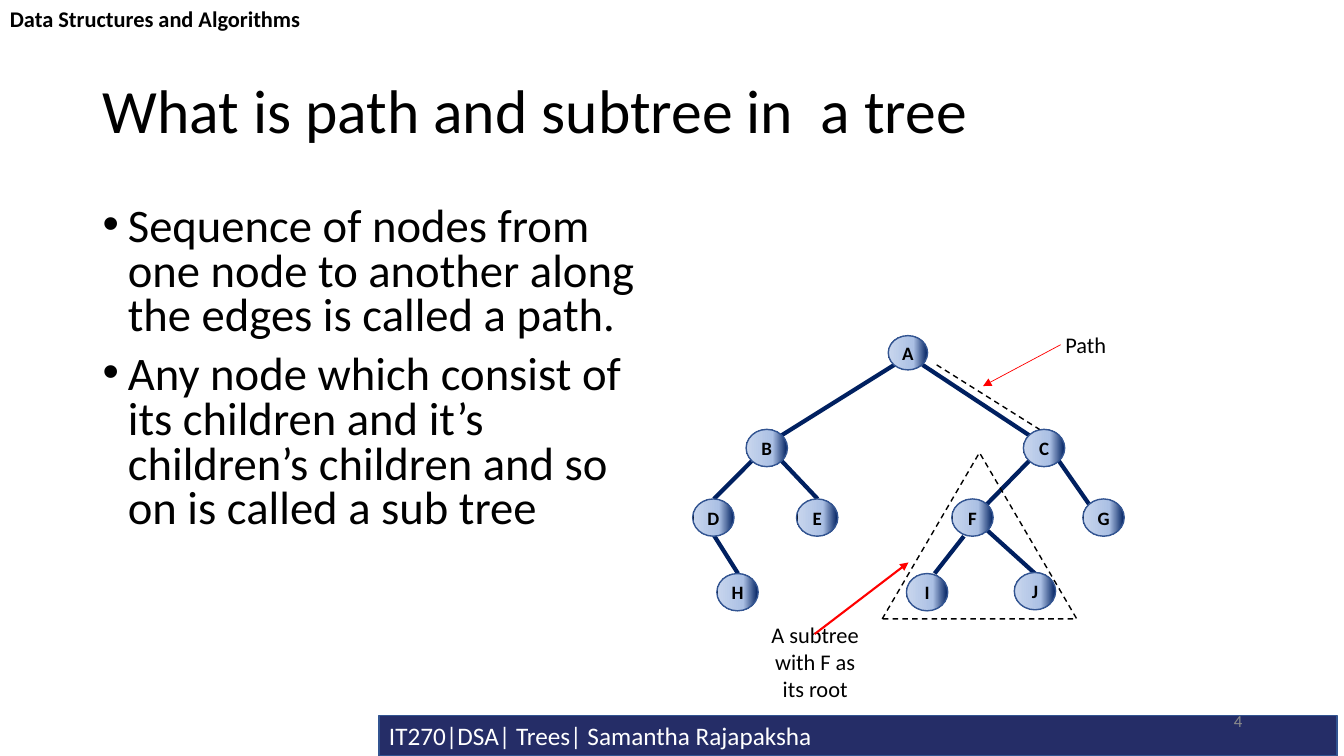
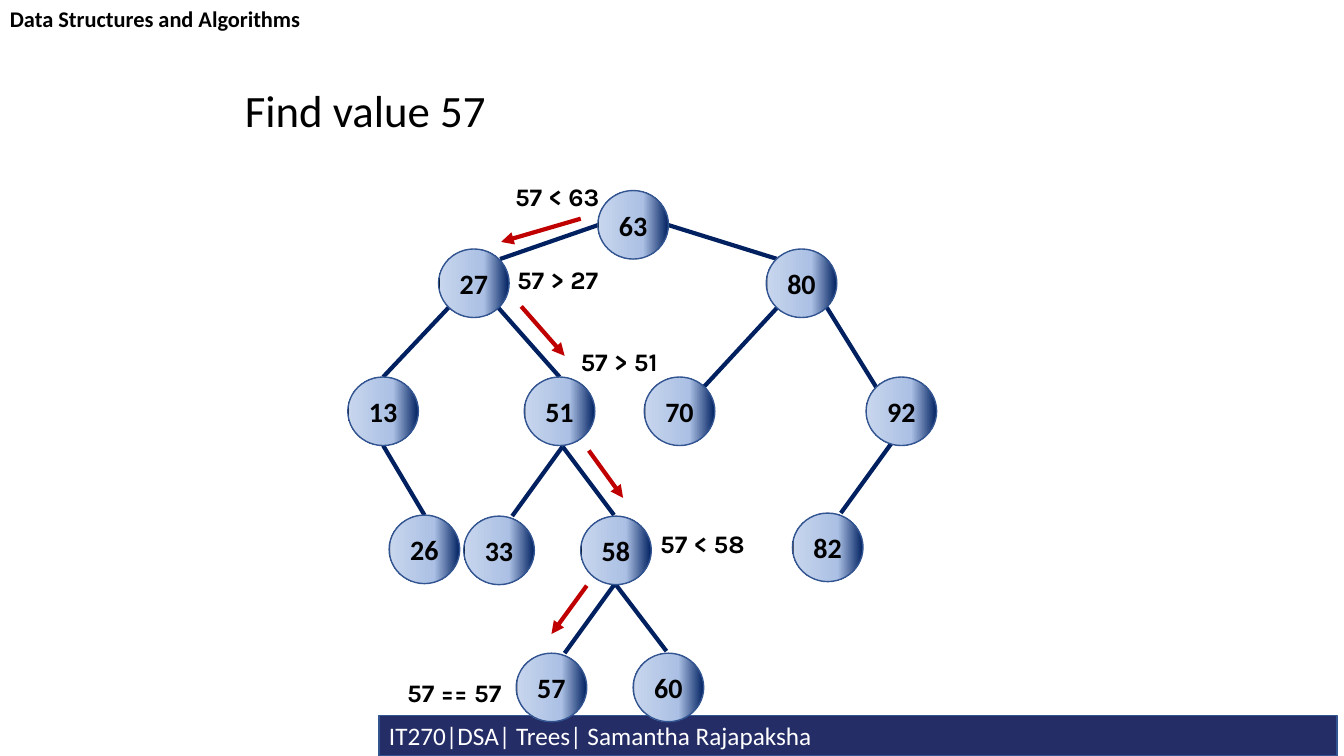
from lxml.etree import SubElement
from pptx import Presentation
from pptx.dml.color import RGBColor
from pptx.enum.dml import MSO_LINE
from pptx.enum.shapes import MSO_CONNECTOR, MSO_SHAPE
from pptx.enum.text import MSO_ANCHOR as ANCHOR, PP_ALIGN as ALIGN
from pptx.oxml.ns import qn
from pptx.util import Pt

PX = 9144  # EMU in one px, 100 px to the inch
COLORS = {
    "text": "000000", "number": "8C8C8C", "white": "FFFFFF",
    "band": "252D67", "outline": "325491", "edge": "002060",
    "pointer": "FF0000", "search": "C00000",
}
NODE_STOPS = [(0, "002060"), (36, "ABC0E4"), (98, "C7D5ED"), (99, "000000")]

PATH_NODES = [
    ("B", 740, 426), ("C", 1015, 426), ("D", 687, 495), ("E", 790, 495),
    ("F", 944, 495), ("G", 1074, 495), ("H", 711, 569), ("I", 899, 569),
    ("J", 1006, 568),
]
PATH_EDGES = [
    (775, 432, 887, 362), (915, 362, 1021, 432), (708, 495, 746, 457),
    (811, 495, 775, 457), (979, 500, 1021, 457), (1080, 500, 1050, 457),
    (732, 569, 708, 531), (927, 569, 956, 532), (1031, 573, 979, 526),
]
SEARCH_NODES = [
    ("63", 593, 189), ("27", 435, 247), ("80", 760, 247), ("13", 345, 374),
    ("51", 520, 374), ("70", 639, 374), ("92", 859, 374), ("26", 386, 511),
    ("33", 460, 512), ("58", 576, 512), ("82", 786, 509), ("57", 512, 648),
    ("60", 628, 648),
]
SEARCH_EDGES = [
    (496, 257, 594, 223), (662, 223, 771, 257), (380, 374, 445, 305),
    (555, 374, 494, 305), (698, 384, 771, 305), (869, 384, 820, 305),
    (421, 511, 380, 442), (508, 512, 558, 443), (609, 511, 558, 443),
    (834, 509, 884, 440), (560, 648, 610, 579), (661, 646, 610, 579),
]
SEARCH_ARROWS = [
    (576, 217, 497, 240), (517, 304, 560, 353),
    (584, 447, 618, 494), (582, 581, 547, 629),
]
COMPARISONS = [
    ("57 < 63", 501, 175), ("57 > 27", 503, 257), ("57 > 51", 566, 339),
    ("57 < 58", 645, 519), ("57 == 57", 394, 667),
]


def emu(*lengths):
    return [length * PX for length in lengths]


def rgb(name):
    return RGBColor.from_string(COLORS[name])


def write(shape, paragraphs, size, color="text", bold=False, font="Calibri",
          align=ALIGN.LEFT, anchor=ANCHOR.TOP):
    frame = shape.text_frame
    frame.word_wrap = True
    frame.vertical_anchor = anchor
    frame.text = "\n".join(paragraphs)
    for para in frame.paragraphs:
        para.alignment = align
        para.font.name = font
        para.font.size = Pt(size)
        para.font.bold = bold
        para.font.color.rgb = rgb(color)
    return frame


def label(page, text, at, size, **style):
    box = page.shapes.add_textbox(*emu(*at))
    write(box, [text], size, **style)
    return box


def title(page, text, at, size):
    box = label(page, text, at, size, anchor=ANCHOR.MIDDLE)
    box.text_frame.paragraphs[0].line_spacing = 0.9


def bullets(page, items, at, size):
    box = page.shapes.add_textbox(*emu(*at))
    for para in write(box, items, size).paragraphs:
        para.line_spacing = 0.8
        para.space_before = Pt(10)
        props = para._p.get_or_add_pPr()
        props.set("marL", str(25 * PX))
        props.set("indent", str(-25 * PX))
        bullet_font = SubElement(props, qn("a:buFont"))
        bullet_font.set("typeface", "Arial")
        SubElement(props, qn("a:buChar")).set("char", "•")


def outlined(page, kind, at, color="outline"):
    shape = page.shapes.add_shape(kind, *emu(*at))
    shape.shadow.inherit = False
    shape.line.color.rgb = rgb(color)
    shape.line.width = Pt(1)
    return shape


def node(page, text, left, top, width, height, size):
    circle = outlined(page, MSO_SHAPE.FLOWCHART_CONNECTOR,
                      (left, top, width, height))
    circle.fill.gradient()
    circle.fill.gradient_angle = 180
    stops = circle.element.spPr.find(qn("a:gradFill")).find(qn("a:gsLst"))
    for stop in list(stops):
        stops.remove(stop)
    for percent, color in NODE_STOPS:
        stop = SubElement(stops, qn("a:gs"), pos=str(percent * 1000))
        SubElement(stop, qn("a:srgbClr"), val=color)
    frame = write(circle, [text], size, bold=True, align=ALIGN.CENTER,
                  anchor=ANCHOR.MIDDLE)
    frame.margin_left = frame.margin_right = 0
    frame.margin_top = frame.margin_bottom = 0


def line(page, ends, color="edge", width=3, arrow=False, dashed=False):
    connector = page.shapes.add_connector(MSO_CONNECTOR.STRAIGHT, *emu(*ends))
    connector.line.color.rgb = rgb(color)
    connector.line.width = Pt(width)
    if dashed:
        connector.line.dash_style = MSO_LINE.DASH
    props = connector.element.spPr
    if arrow:
        SubElement(props.find(qn("a:ln")), qn("a:tailEnd"), type="triangle")
    SubElement(props, qn("a:effectLst"))


def tree(page, nodes, edges, width, height, size):
    for ends in edges:
        line(page, ends)
    for text, left, top in nodes:
        node(page, text, left, top, width, height, size)


def furnish_layout(layout, page):
    """Draw the course header and footer band, then move them to the layout."""
    for placeholder in list(layout.placeholders):
        layout.shapes.element.remove(placeholder.element)
    band = outlined(page, MSO_SHAPE.RECTANGLE, (376, 710, 950, 40))
    band.fill.solid()
    band.fill.fore_color.rgb = rgb("band")
    write(band, ["IT270|DSA| Trees| Samantha Rajapaksha"], 18, color="white",
          anchor=ANCHOR.MIDDLE)
    header = label(page, "Data Structures and Algorithms", (0, 0, 1333, 37),
                   16, bold=True)
    for shape in (band, header):
        layout.shapes.element.append(shape.element)


def path_slide(page):
    title(page, "What is path and subtree in  a tree", (92, 40, 1150, 145), 44)
    bullets(page, [
        "Sequence of nodes from one node to another along the edges is called "
        "a path.",
        "Any node which consist of its children and it’s children’s children "
        "and so on is called a sub tree",
    ], (92, 200, 550, 358), 33.3)
    label(page, "4", (942, 695, 300, 40), 12, color="number",
          align=ALIGN.RIGHT, anchor=ANCHOR.MIDDLE)
    tree(page, PATH_NODES, PATH_EDGES, 41, 37, 13.5)
    node(page, "A", 881, 333, 39, 34, 13.5)

    centred = {"align": ALIGN.CENTER, "anchor": ANCHOR.MIDDLE}
    label(page, "A subtree with F as its root", (750, 629, 117, 54), 16,
          **centred)
    subtree = outlined(page, MSO_SHAPE.ISOSCELES_TRIANGLE,
                       (875, 449, 193, 165), "text")
    subtree.fill.background()
    subtree.line.dash_style = MSO_LINE.DASH
    line(page, (929, 362, 1031, 426), "text", 1, dashed=True)
    label(page, "Path", (1034, 317, 86, 50), 16, **centred)
    line(page, (1052, 342, 975, 383), "pointer", 0.5, arrow=True)
    line(page, (808, 629, 901, 558), "pointer", 1.5, arrow=True)


def search_slide(page):
    title(page, "Find value 57", (233, 83, 696, 58), 32)
    tree(page, SEARCH_NODES, SEARCH_EDGES, 70, 68, 20)
    for ends in SEARCH_ARROWS:
        line(page, ends, "search", arrow=True)
    for text, left, top in COMPARISONS:
        label(page, text, (left, top, 133, 40), 18, bold=True, font="Karla")


def main():
    deck = Presentation()
    deck.slide_width, deck.slide_height = emu(1333, 750)
    blank = deck.slide_layouts[6]
    pages = [deck.slides.add_slide(blank) for _ in range(2)]
    furnish_layout(blank, pages[0])
    path_slide(pages[0])
    search_slide(pages[1])
    deck.save("out.pptx")


if __name__ == "__main__":
    main()
